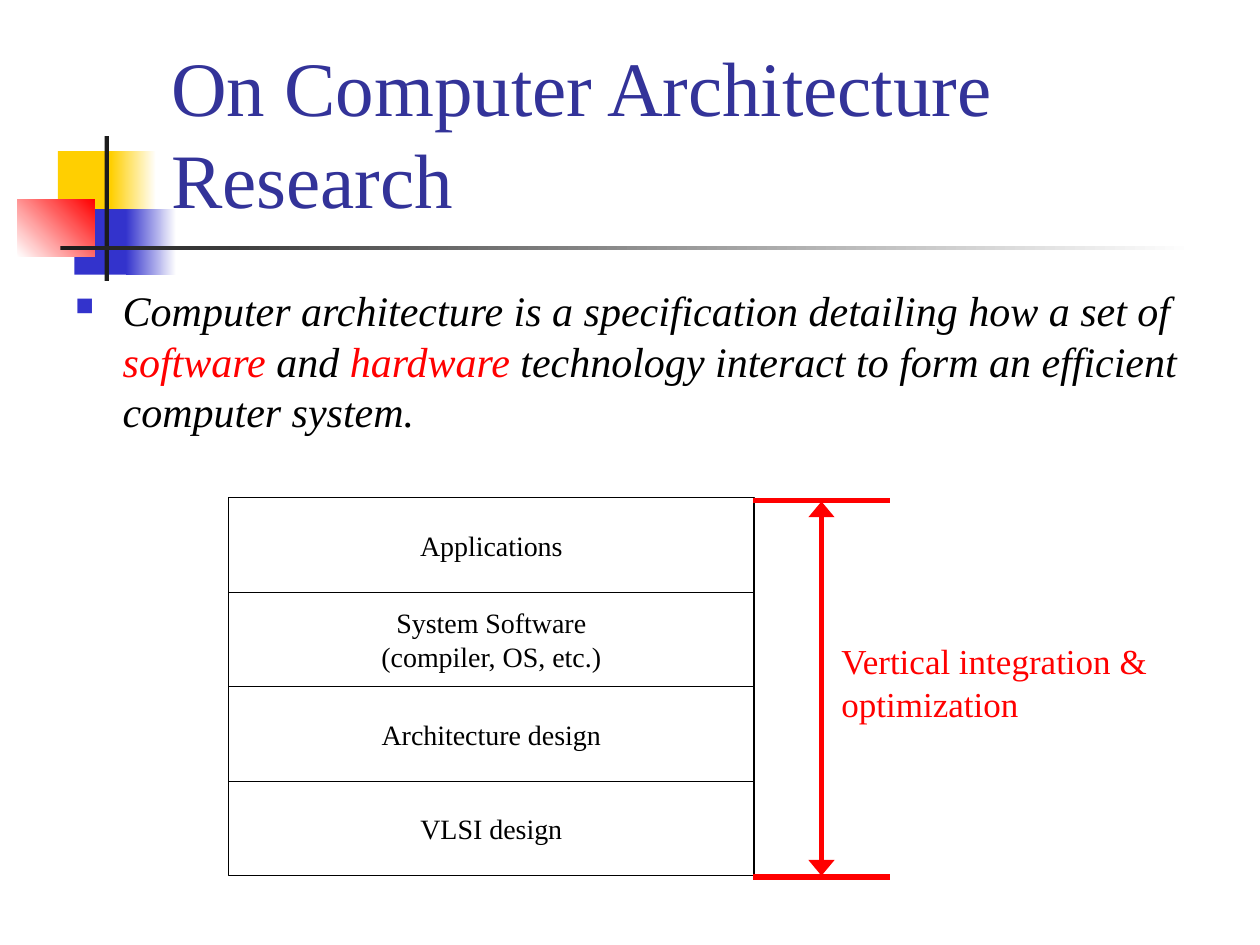
from dataclasses import dataclass
from typing import Optional

import pptx
import pptx.dml.color
import pptx.enum.shapes
import pptx.enum.text
import pptx.oxml.ns
import pptx.util
from lxml import etree

SLIDE_WIDTH = pptx.util.Inches(10)
SLIDE_HEIGHT = pptx.util.Inches(7.5)
FONT = "Times New Roman"
BLACK, WHITE, RED = "000000", "FFFFFF", "FF0000"
BLUE, YELLOW, CHARCOAL, INDIGO = "3333CC", "FFCF01", "1C1C1C", "333399"


@dataclass(frozen=True)
class Area:
    """Percentages of the slide's width and height."""
    left: float
    top: float
    width: float
    height: float


@dataclass(frozen=True)
class Ornament:
    area: Area
    color: str
    fade_to: Optional[str] = None
    angle: float = 0


@dataclass(frozen=True)
class Rule:
    start: tuple[float, float]
    end: tuple[float, float]
    arrows: bool = False


ORNAMENTS = [
    Ornament(Area(4.6, 16, 4.8, 6.93), YELLOW),
    Ornament(Area(8.8, 16, 3.6, 6.93), YELLOW, WHITE),
    Ornament(Area(5.9, 22.13, 4.6, 6.93), BLUE),
    Ornament(Area(10, 22.13, 4, 6.93), BLUE, WHITE),
    Ornament(Area(1.4, 21.07, 6.1, 6.13), WHITE, RED, 45),
    Ornament(Area(8.3, 14.4, 0.35, 15.33), CHARCOAL),
    Ornament(Area(4.8, 26, 90, 0.47), CHARCOAL, WHITE),
]
LAYERS = [
    "Applications",
    "System Software\n(compiler, OS, etc.)",
    "Architecture design",
    "VLSI design",
]
STACK = Area(18.15, 52.67, 41.7, 40)
DEFINITION = [
    ("Computer architecture is a specification detailing how a set of ", BLACK),
    ("software", RED),
    (" and ", BLACK),
    ("hardware", RED),
    (" technology interact to form an efficient computer system.", BLACK),
]
SPAN_RULES = [
    Rule((59.8, 52.93), (70.6, 52.93)),
    Rule((59.8, 92.8), (70.6, 92.8)),
    Rule((65.2, 92.67), (65.2, 53.07), arrows=True),
]


def across(percent: float) -> int:
    return round(SLIDE_WIDTH * percent / 100)


def down(percent: float) -> int:
    return round(SLIDE_HEIGHT * percent / 100)


def bounds(area: Area) -> tuple[int, int, int, int]:
    return across(area.left), down(area.top), across(area.width), down(area.height)


def rgb(color: str) -> pptx.dml.color.RGBColor:
    return pptx.dml.color.RGBColor.from_string(color)


def add_tag(parent, tag: str, **attributes: str):
    return etree.SubElement(parent, pptx.oxml.ns.qn(tag), attributes)


def style_font(font, size: float, color: str, italic: bool = False) -> None:
    font.name = FONT
    font.size = pptx.util.Pt(size)
    font.color.rgb = rgb(color)
    font.italic = italic


def style_text(frame, size: float, color: str) -> None:
    for paragraph in frame.paragraphs:
        for run in paragraph.runs:
            style_font(run.font, size, color)


def add_rectangle(slide, area: Area):
    rectangle = slide.shapes.add_shape(
        pptx.enum.shapes.MSO_SHAPE.RECTANGLE, *bounds(area))
    rectangle.shadow.inherit = False
    return rectangle


def add_ornament(slide, ornament: Ornament) -> None:
    block = add_rectangle(slide, ornament.area)
    block.line.fill.background()
    if ornament.fade_to is None:
        block.fill.solid()
        block.fill.fore_color.rgb = rgb(ornament.color)
        return
    block.fill.gradient()
    block.fill.gradient_angle = ornament.angle
    for stop, color in zip(block.fill.gradient_stops, (ornament.color, ornament.fade_to)):
        stop.color.rgb = rgb(color)


def add_text(slide, area: Area, wrap: bool = True):
    frame = slide.shapes.add_textbox(*bounds(area)).text_frame
    frame.word_wrap = wrap
    return frame


def add_title(slide) -> None:
    title = add_text(slide, Area(12.6, 3.07, 85.2, 21.33))
    title.vertical_anchor = pptx.enum.text.MSO_ANCHOR.BOTTOM
    title.text = "On Computer Architecture Research"
    style_text(title, 44, INDIGO)


def add_definition(slide) -> None:
    paragraph = add_text(slide, Area(5, 29.47, 92.9, 18.4)).paragraphs[0]
    properties = paragraph._p.get_or_add_pPr()
    indent = across(3.75)
    properties.set("marL", str(indent))
    properties.set("indent", str(-indent))
    add_tag(add_tag(properties, "a:buClr"), "a:srgbClr", val=BLUE)
    add_tag(properties, "a:buSzPct", val="60000")
    add_tag(properties, "a:buChar", char="■")
    for words, color in DEFINITION:
        run = paragraph.add_run()
        run.text = words
        style_font(run.font, 24, color, italic=True)


def add_layer(slide, area: Area, label: str) -> None:
    layer = add_rectangle(slide, area)
    layer.fill.background()
    layer.line.color.rgb = rgb(BLACK)
    layer.line.width = pptx.util.Pt(0.75)
    frame = layer.text_frame
    frame.text = label
    frame.vertical_anchor = pptx.enum.text.MSO_ANCHOR.MIDDLE
    for paragraph in frame.paragraphs:
        paragraph.alignment = pptx.enum.text.PP_ALIGN.CENTER
    style_text(frame, 16, BLACK)


def add_rule(slide, rule: Rule) -> None:
    (x1, y1), (x2, y2) = rule.start, rule.end
    connector = slide.shapes.add_connector(
        pptx.enum.shapes.MSO_CONNECTOR.STRAIGHT,
        across(x1), down(y1), across(x2), down(y2))
    connector.line.color.rgb = rgb(RED)
    connector.line.width = pptx.util.Pt(3)
    if rule.arrows:
        for end in ("a:headEnd", "a:tailEnd"):
            add_tag(connector.line._get_or_add_ln(), end,
                    type="triangle", w="lg", len="med")
    add_tag(connector._element.spPr, "a:effectLst")


def add_span_label(slide) -> None:
    label = add_text(slide, Area(65.8, 67.07, 26.4, 10.27), wrap=False)
    label.auto_size = pptx.enum.text.MSO_AUTO_SIZE.SHAPE_TO_FIT_TEXT
    label.text = "Vertical integration &\noptimization"
    style_text(label, 20, RED)


def main() -> None:
    deck = pptx.Presentation()
    deck.slide_width, deck.slide_height = SLIDE_WIDTH, SLIDE_HEIGHT
    slide = deck.slides.add_slide(deck.slide_layouts[6])
    for ornament in ORNAMENTS:
        add_ornament(slide, ornament)
    add_title(slide)
    add_definition(slide)
    row_height = STACK.height / len(LAYERS)
    for row, label in reversed(list(enumerate(LAYERS))):
        top = STACK.top + row * row_height
        add_layer(slide, Area(STACK.left, top, STACK.width, row_height), label)
    for rule in SPAN_RULES:
        add_rule(slide, rule)
    add_span_label(slide)
    deck.save("out.pptx")


if __name__ == "__main__":
    main()
